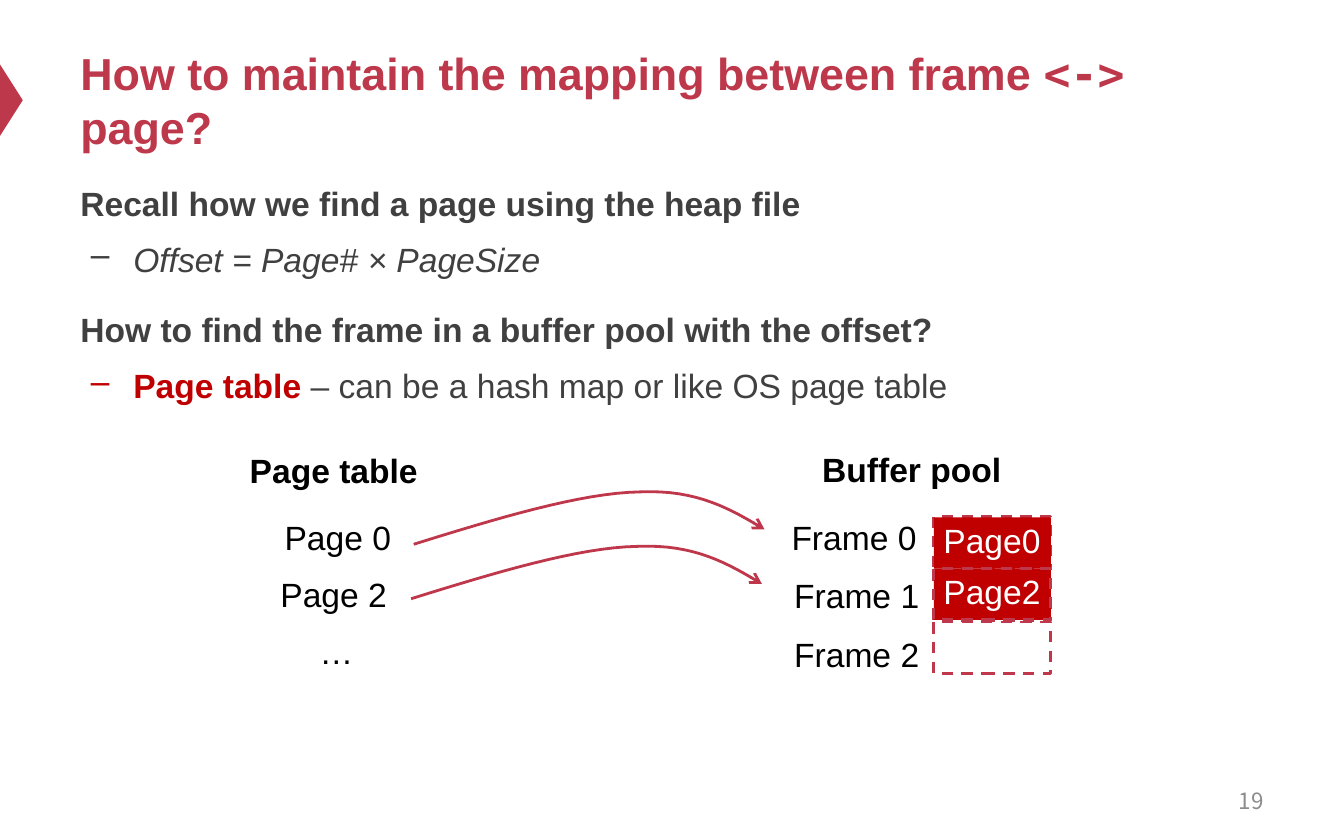
from lxml import etree
from pptx import Presentation
from pptx import util as u
from pptx.dml.color import RGBColor
from pptx.enum import dml, shapes, text
from pptx.oxml.ns import qn

ACCENT, LINE, RED, GRAY = "BE384B", "BE374B", "C00000", "404040"
BLACK, WHITE = "000000", "FFFFFF"


def colour(value):
    return RGBColor.from_string(value)


def apply(target, values):
    for name, value in values.items():
        setattr(target, name, value)


class SlideBuilder:
    font = {"name": "Arial", "size": u.Pt(18), "bold": False, "italic": False}
    steps = 16

    def __init__(self, slide):
        self.slide = slide

    def paragraph(self, paragraph, runs, bullet=None, **layout):
        apply(paragraph, layout)
        if bullet:
            properties = paragraph._p.get_or_add_pPr()
            properties.set("marL", str(u.Cm(1)))
            properties.set("indent", str(-u.Cm(0.8)))
            etree.SubElement(properties, qn("a:buChar")).set("char", bullet)
        for content, fill, values in runs:
            run = paragraph.add_run()
            run.text = content
            apply(run.font, {**self.font, **values})
            run.font.color.rgb = colour(fill)

    def box(self, left, top, width, height, paragraphs, **frame_values):
        shape = self.slide.shapes.add_textbox(*map(u.Cm, (left, top, width, height)))
        frame = shape.text_frame
        apply(frame, {"word_wrap": True, **frame_values})
        for index, (runs, layout) in enumerate(paragraphs):
            paragraph = frame.add_paragraph() if index else frame.paragraphs[0]
            self.paragraph(paragraph, runs, **layout)

    def label(self, left, top, width, content, fill=BLACK, **values):
        self.box(left, top, width, 1.02, [([(content, fill, values)], {})], word_wrap=False)

    def outline(self, shape, dashed=False):
        shape.line.color.rgb = colour(LINE)
        shape.line.width = u.Pt(1.5)
        if dashed:
            shape.line.dash_style = dml.MSO_LINE.DASH

    def shape(self, kind, left, top, width, height, fill=None, dashed=False, rotation=0):
        shape = self.slide.shapes.add_shape(kind, *map(u.Cm, (left, top, width, height)))
        shape.shadow.inherit = False
        shape.rotation = rotation
        if fill:
            shape.fill.solid()
            shape.fill.fore_color.rgb = colour(fill)
        else:
            shape.fill.background()
        if dashed:
            self.outline(shape, dashed=True)
        else:
            shape.line.fill.background()

    def curved_arrow(self, points):
        vertices = []
        for first in range(0, len(points) - 1, 3):
            a, b, c, d = points[first:first + 4]
            for step in range(1, self.steps + 1):
                t = step / self.steps
                s = 1 - t
                vertices.append(tuple(
                    u.Cm(s**3 * p + 3 * s * s * t * q + 3 * s * t * t * r + t**3 * e)
                    for p, q, r, e in zip(a, b, c, d)))
        builder = self.slide.shapes.build_freeform(*map(u.Cm, points[0]))
        builder.add_line_segments(vertices, close=False)
        shape = builder.convert_to_shape()
        shape.shadow.inherit = False
        shape.fill.background()
        self.outline(shape)
        line = shape.element.spPr.find(qn("a:ln"))
        etree.SubElement(line, qn("a:tailEnd")).set("type", "arrow")


def main():
    presentation = Presentation()
    presentation.slide_width, presentation.slide_height = u.Cm(25.4), u.Cm(15.88)
    builder = SlideBuilder(presentation.slides.add_slide(presentation.slide_layouts[6]))
    rectangle = shapes.MSO_SHAPE.RECTANGLE
    middle = text.MSO_ANCHOR.MIDDLE

    builder.shape(shapes.MSO_SHAPE.ISOSCELES_TRIANGLE, -0.46, 1.68, 1.35, 0.43, ACCENT, rotation=90)
    heading = {"size": u.Pt(24), "bold": True}
    builder.box(1.27, 0.64, 22.86, 2.49, [([
        ("How to maintain the mapping between frame ", ACCENT, heading),
        ("<->", ACCENT, {**heading, "name": "DejaVu Sans Mono"}),
        (" page?", ACCENT, heading),
    ], {})], vertical_anchor=middle)

    bold = {"bold": True}
    spaced = {"line_spacing": 1.2}
    item = {**spaced, "space_before": u.Pt(4), "bullet": "–"}
    builder.box(1.27, 3.18, 22.86, 4.95, [
        ([("Recall how we find a page using the heap file", GRAY, bold)], spaced),
        ([("Offset = Page# × PageSize", GRAY, {"italic": True})], item),
        ([("How to find the frame in a buffer pool with the offset?", GRAY, bold)],
         {**spaced, "space_before": u.Pt(12)}),
        ([("Page table ", RED, bold),
          ("– can be a hash map or like OS page table", GRAY, {})], item),
    ])
    builder.box(18.21, 14.71, 5.92, 0.84, [
        ([("19", "8C8C8C", {"name": "Noto Sans CJK SC", "size": u.Pt(12)})],
         {"alignment": text.PP_ALIGN.RIGHT}),
    ], vertical_anchor=middle)

    for row in range(3):
        builder.shape(rectangle, 17.65, 9.76 + row, 2.21, 0.97, dashed=True)
    for row, (left, top) in enumerate([(14.71, 9.65), (14.76, 10.74), (14.76, 11.86)]):
        builder.label(left, top, 2.9, f"Frame {row}")
    for row, page in enumerate([0, 2]):
        top = 9.78 + 0.97 * row
        builder.shape(rectangle, 17.65, top, 2.21, 0.97, RED, dashed=row > 0)
        builder.label(17.58, top - 0.08, 2.36, f"Page{page}", WHITE)

    builder.label(15.29, 8.36, 3.94, "Buffer pool", bold=True)
    builder.label(4.47, 8.38, 3.71, "Page table", bold=True)
    builder.label(5.13, 9.65, 2.54, "Page 0")
    builder.label(5.05, 10.72, 2.54, "Page 2")
    builder.label(5.79, 11.81, 1.14, "…")

    curve = [(7.82, 10.29), (9.4, 9.8), (10.97, 9.32), (12.09, 9.3),
             (13.18, 9.25), (13.82, 9.63), (14.45, 10.01)]
    for row in range(2):
        builder.curved_arrow([(x - 0.05 * row, y + 1.03 * row) for x, y in curve])

    presentation.save("out.pptx")


if __name__ == "__main__":
    main()
